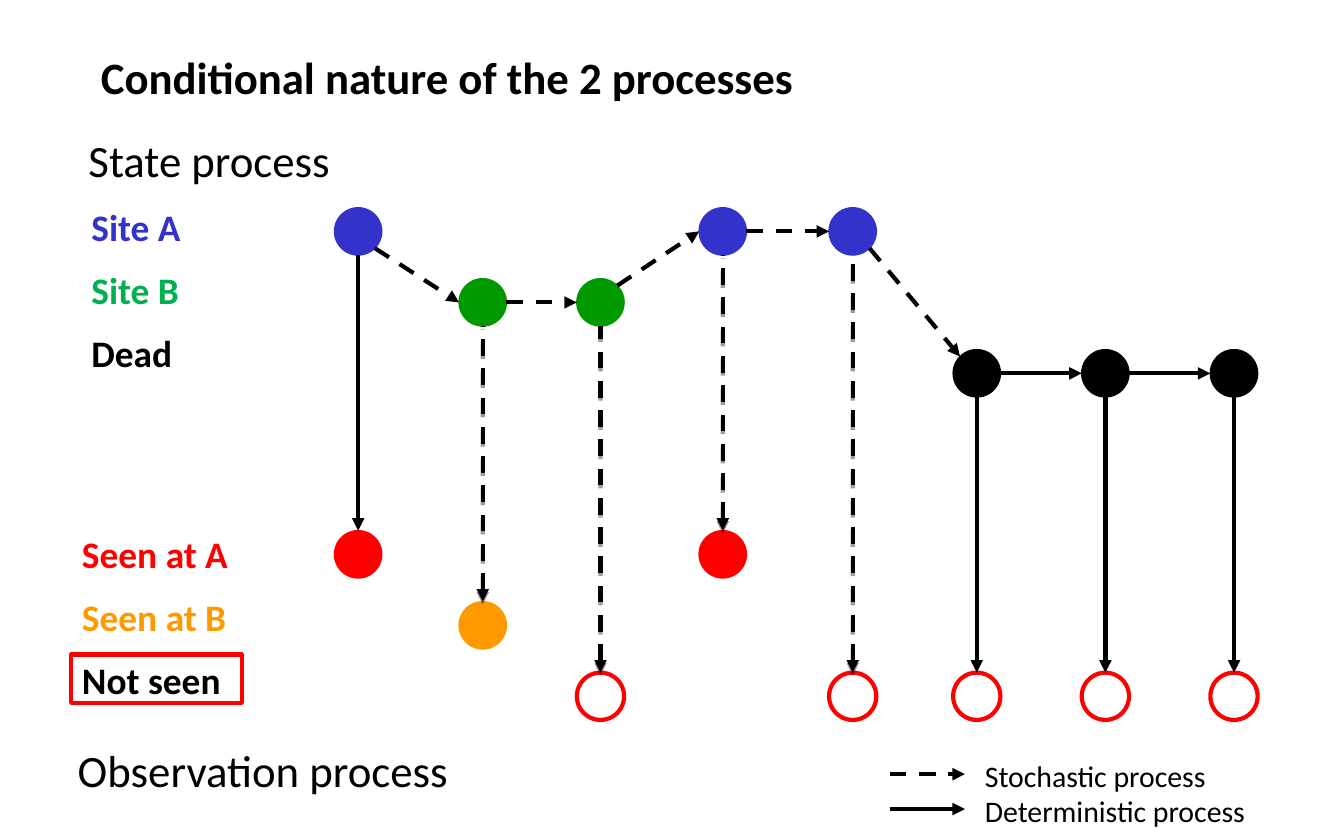
from itertools import pairwise

from lxml import etree
from pptx import Presentation
from pptx.dml.color import RGBColor
from pptx.enum.dml import MSO_LINE_DASH_STYLE as DASH
from pptx.enum.shapes import MSO_CONNECTOR as CONNECTOR
from pptx.enum.shapes import MSO_SHAPE as SHAPE
from pptx.enum.text import MSO_ANCHOR as ANCHOR
from pptx.enum.text import MSO_AUTO_SIZE as AUTO_SIZE
from pptx.enum.text import PP_ALIGN as ALIGN
from pptx.oxml.ns import qn
from pptx.util import Inches, Pt

COLUMNS, ROWS = 100, 62.5  # grid over the whole slide
BLACK, BLUE, GREEN = "000000", "3333CC", "009900"
RED, ORANGE = "FF0000", "FF9900"

RADIUS = 1.76
CORNER = 1.25  # horizontal and vertical reach of a circle's 45 degree point
STEP = 5.28  # distance between the rows of circles
STATE_TOP, SEEN_TOP = 17.22, 41.25
STATE_COLORS = [BLUE, GREEN, BLACK]
SEEN_COLORS = [RED, ORANGE, None]

# For each occasion: centre column, state row, observation row
OCCASIONS = [
    (26.65, 0, 0), (35.92, 1, 1), (44.68, 1, 2), (53.78, 0, 0),
    (63.45, 0, 2), (72.68, 2, 2), (82.25, 2, 2), (91.82, 2, 2),
]


def color(value):
    return RGBColor.from_string(value)


class Board:
    """Style and current slide; lengths are grid columns and rows."""

    font = "Calibri"
    line_width = Pt(2.25)

    def __init__(self, presentation):
        self.slide = presentation.slides.add_slide(presentation.slide_layouts[3])
        self.column = presentation.slide_width / COLUMNS
        self.row = presentation.slide_height / ROWS

    def place(self, left, top, width, height):
        return (round(left * self.column), round(top * self.row),
                round(width * self.column), round(height * self.row))

    def format_runs(self, paragraph, size, value=BLACK, bold=False):
        paragraph.alignment = ALIGN.LEFT
        for run in paragraph.runs:
            run.font.name = self.font
            run.font.size = Pt(size)
            run.font.bold = bold
            run.font.color.rgb = color(value)

    def fill_placeholder(self, index, box, text, wrap=False):
        shape = self.slide.placeholders[index]
        shape.left, shape.top, shape.width, shape.height = self.place(*box)
        frame = shape.text_frame
        frame.text = text
        frame.word_wrap = wrap
        frame.auto_size = AUTO_SIZE.NONE
        frame.vertical_anchor = ANCHOR.TOP
        return frame

    def title(self, box, text):
        frame = self.fill_placeholder(0, box, text)
        self.format_runs(frame.paragraphs[0], 24, bold=True)

    def list(self, index, box, items):
        """Plain list without bullets, one colour for each item."""
        frame = self.fill_placeholder(index, box, "\n".join(items), wrap=True)
        for number, (paragraph, value) in enumerate(zip(frame.paragraphs, items.values())):
            self.format_runs(paragraph, 20, value, bold=True)
            paragraph.space_before = Pt(9.75 if number else 0)
            properties = paragraph._p.get_or_add_pPr()
            properties.set("marL", "0")
            properties.set("indent", "0")
            etree.SubElement(properties, qn("a:buNone"))

    def label(self, box, text, size):
        frame = self.slide.shapes.add_textbox(*self.place(*box)).text_frame
        frame.text = text
        frame.word_wrap = False
        frame.auto_size = AUTO_SIZE.SHAPE_TO_FIT_TEXT
        self.format_runs(frame.paragraphs[0], size)

    def outline(self, kind, box, fill=None):
        """Filled shape, or a hollow one with a heavy red border."""
        shape = self.slide.shapes.add_shape(kind, *self.place(*box))
        shape.shadow.inherit = False
        if fill:
            shape.fill.solid()
            shape.fill.fore_color.rgb = color(fill)
        else:
            shape.fill.background()
        shape.line.color.rgb = color(fill or RED)
        shape.line.width = Pt(0.75) if fill else self.line_width

    def circle(self, x, y, fill):
        self.outline(SHAPE.OVAL, (x - RADIUS, y - RADIUS, 2 * RADIUS, 2 * RADIUS), fill)

    def arrow(self, start, end, dashed=False, head="tailEnd", shadow=False):
        """Arrow whose triangle sits at its end, or at its start with headEnd."""
        connector = self.slide.shapes.add_connector(
            CONNECTOR.STRAIGHT, *self.place(*start, *end))
        connector.line.color.rgb = color(BLACK)
        connector.line.width = self.line_width
        if dashed:
            connector.line.dash_style = DASH.DASH
        etree.SubElement(connector.line._get_or_add_ln(), qn(f"a:{head}"), type="triangle")
        effects = etree.SubElement(connector._element.spPr, qn("a:effectLst"))
        if shadow:
            outer = etree.SubElement(effects, qn("a:outerShdw"), blurRad="0",
                                     dist=str(Pt(1.6)), dir="5400000", rotWithShape="0")
            black = etree.SubElement(outer, qn("a:srgbClr"), val=BLACK)
            etree.SubElement(black, qn("a:alpha"), val="38000")


def state_y(row):
    return STATE_TOP + STEP * row


def seen_y(row):
    return SEEN_TOP + STEP * row


def draw_transition(board, before, after):
    (x1, row1, _), (x2, row2, _) = before, after
    start, end = (x1 + RADIUS, state_y(row1)), (x2 - RADIUS, state_y(row2))
    if row1 != row2:
        side = 1 if row2 > row1 else -1
        start = (x1 + CORNER, state_y(row1) + side * CORNER)
    if row2 - row1 > 1:
        end = (x2 - CORNER, state_y(row2) - CORNER)
    board.arrow(start, end, dashed=row1 < 2)


def draw_observation(board, number, occasion):
    x, state, seen = occasion
    stochastic = 0 < number and state < 2
    board.circle(x, seen_y(seen), SEEN_COLORS[seen])
    board.arrow((x, seen_y(seen) - RADIUS), (x, state_y(state) + RADIUS),
                dashed=stochastic, head="headEnd", shadow=stochastic)


def main():
    presentation = Presentation()
    presentation.slide_width, presentation.slide_height = Inches(10), Inches(6.25)
    board = Board(presentation)

    board.title((6.5, 3.2, 54.1, 5), "Conditional nature of the 2 processes")
    board.label((5.6, 9.4, 20.1, 5), "State process", 24)
    board.list(1, (5.8, 14.7, 12, 13.8),
               {"Site A": BLUE, "Site B": "00B050", "Dead": BLACK})
    board.label((4.8, 54.8, 29.8, 5), "Observation process", 24)
    board.outline(SHAPE.RECTANGLE, (5.3, 48.7, 12.7, 3.6))
    board.list(2, (5.1, 39, 14, 13.8),
               {"Seen at A": RED, "Seen at B": ORANGE, "Not seen": BLACK})

    for x, state, _ in OCCASIONS:
        board.circle(x, state_y(state), STATE_COLORS[state])
    for before, after in pairwise(OCCASIONS):
        draw_transition(board, before, after)
    for number, occasion in enumerate(OCCASIONS):
        draw_observation(board, number, occasion)

    for number, name in enumerate(["Stochastic", "Deterministic"]):
        y = 57.6 + 2.6 * number
        board.arrow((66.2, y), (71.8, y), dashed=number == 0)
        board.label((72.3, y - 1.7, 21.6, 3.7), f"{name} process", 16)

    presentation.save("out.pptx")


if __name__ == "__main__":
    main()
